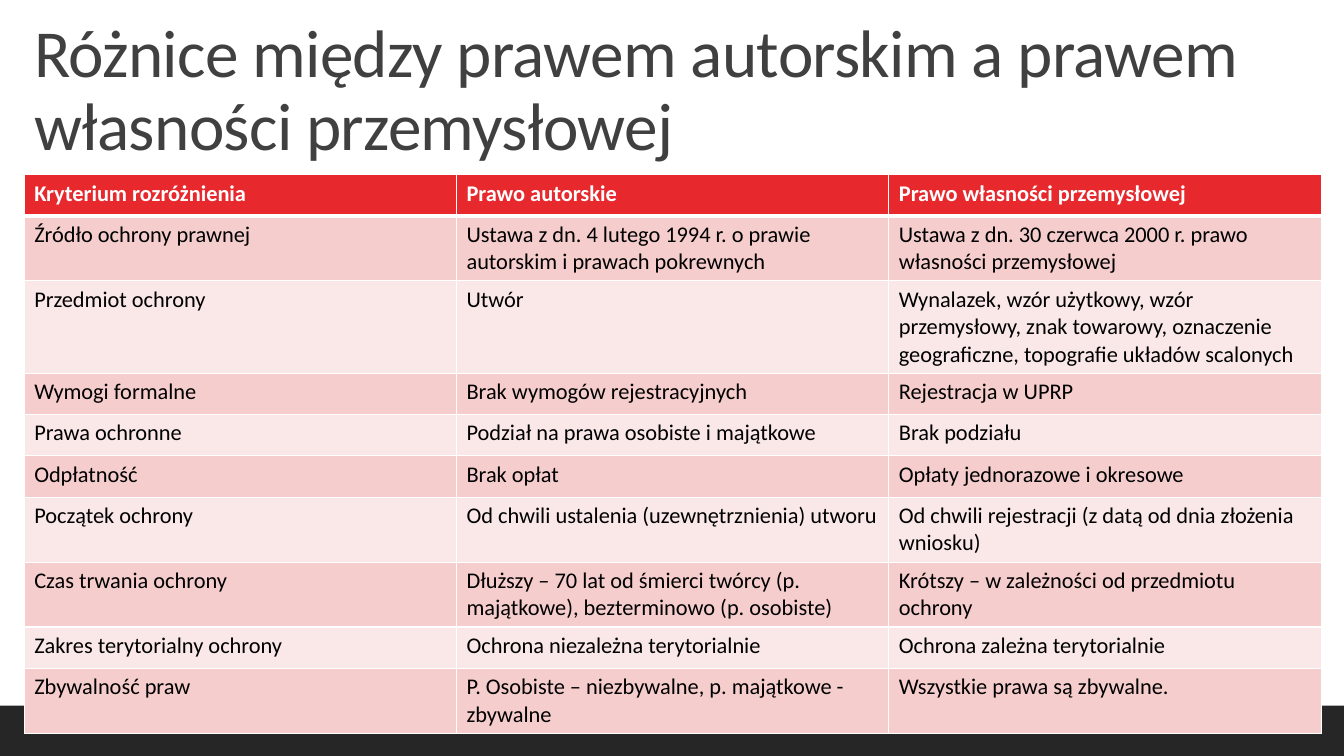
"""Build a slide comparing copyright law with industrial property law."""
from dataclasses import dataclass

from lxml.etree import SubElement
from pptx import Presentation
from pptx.dml.color import RGBColor
from pptx.enum.shapes import MSO_SHAPE
from pptx.enum.text import MSO_ANCHOR, MSO_AUTO_SIZE, PP_ALIGN
from pptx.oxml.ns import qn
from pptx.slide import Slide
from pptx.table import _Cell
from pptx.util import Inches, Length, Pt

WIDE, HIGH = Inches(13.33), Inches(7.5)
FONT = "Calibri"
HUES = {
    "title": "404040",
    "bar": "262626",
    "head": "E7292E",
    "odd": "F6CDCD",
    "even": "FAE8E8",
    "light": "FFFFFF",
    "dark": "000000",
}


@dataclass
class Box:
    """Place on the slide, in shares of its width and height."""
    left: float
    top: float
    width: float
    height: float

    def spot(self) -> tuple[Length, Length, Length, Length]:
        """Give the place as lengths."""
        return (Length(int(self.left * WIDE)), Length(int(self.top * HIGH)),
                Length(int(self.width * WIDE)), Length(int(self.height * HIGH)))


@dataclass
class Row:
    """One line of the comparison."""
    topic: str
    author: str
    trade: str


BAR = Box(0, 14 / 15, 1, 1 / 15)
TITLE = Box(0.018, 0.013, 0.954, 0.212)
GRID = Box(0.018, 0.231, 0.965, 0.547)
ROWS = [
    Row("Kryterium rozróżnienia", "Prawo autorskie", "Prawo własności przemysłowej"),
    Row("Źródło ochrony prawnej",
        "Ustawa z dn. 4 lutego 1994 r. o prawie autorskim i prawach pokrewnych",
        "Ustawa z dn. 30 czerwca 2000 r. prawo własności przemysłowej"),
    Row("Przedmiot ochrony", "Utwór",
        "Wynalazek, wzór użytkowy, wzór przemysłowy, znak towarowy, "
        "oznaczenie geograficzne, topografie układów scalonych"),
    Row("Wymogi formalne", "Brak wymogów rejestracyjnych", "Rejestracja w UPRP"),
    Row("Prawa ochronne", "Podział na prawa osobiste i majątkowe", "Brak podziału"),
    Row("Odpłatność", "Brak opłat", "Opłaty jednorazowe i okresowe"),
    Row("Początek ochrony", "Od chwili ustalenia (uzewnętrznienia) utworu",
        "Od chwili rejestracji (z datą od dnia złożenia wniosku)"),
    Row("Czas trwania ochrony",
        "Dłuższy – 70 lat od śmierci twórcy (p. majątkowe), bezterminowo (p. osobiste)",
        "Krótszy – w zależności od przedmiotu ochrony"),
    Row("Zakres terytorialny ochrony", "Ochrona niezależna terytorialnie",
        "Ochrona zależna terytorialnie"),
    Row("Zbywalność praw", "P. Osobiste – niezbywalne, p. majątkowe - zbywalne",
        "Wszystkie prawa są zbywalne."),
]


def hue(name: str) -> RGBColor:
    """Look up a colour."""
    return RGBColor.from_string(HUES[name])


def add_bar(slide: Slide) -> None:
    """Draw the dark band at the foot."""
    bar = slide.shapes.add_shape(MSO_SHAPE.RECTANGLE, *BAR.spot())
    bar.shadow.inherit = False
    bar.fill.solid()
    bar.fill.fore_color.rgb = hue("bar")
    bar.line.fill.background()


def set_title(slide: Slide, text: str) -> None:
    """Place and format the title."""
    title = slide.shapes.title
    title.left, title.top, title.width, title.height = TITLE.spot()
    frame = title.text_frame
    frame.text = text
    frame.word_wrap = True
    frame.auto_size = MSO_AUTO_SIZE.NONE
    frame.vertical_anchor = MSO_ANCHOR.BOTTOM
    para = frame.paragraphs[0]
    para.alignment = PP_ALIGN.LEFT
    para.line_spacing = 0.9
    font = para.runs[0].font
    font.name, font.size = FONT, Pt(48)
    font.color.rgb = hue("title")
    para.runs[0]._r.get_or_add_rPr().set("spc", "-50")


def set_edge(cell: _Cell, side: str, width: int) -> None:
    """Add a white border to one side of a cell."""
    edge = SubElement(cell._tc.get_or_add_tcPr(), qn(f"a:ln{side}"), w=str(Pt(width)))
    fill = SubElement(edge, qn("a:solidFill"))
    SubElement(fill, qn("a:srgbClr"), val=HUES["light"])


def fill_cell(cell: _Cell, text: str, row: int) -> None:
    """Write and format a table cell."""
    head = row == 0
    thick = {0: "B", 1: "T"}.get(row)
    for side in "LRTB":
        set_edge(cell, side, 3 if side == thick else 1)
    cell.fill.solid()
    cell.fill.fore_color.rgb = hue("head" if head else "odd" if row % 2 else "even")
    cell.text_frame.text = text
    font = cell.text_frame.paragraphs[0].runs[0].font
    font.name, font.size, font.bold = FONT, Pt(16), head
    font.color.rgb = hue("light" if head else "dark")


def add_grid(slide: Slide) -> None:
    """Draw the comparison table."""
    table = slide.shapes.add_table(len(ROWS), 3, *GRID.spot()).table
    for num, row in enumerate(ROWS):
        for col, text in enumerate((row.topic, row.author, row.trade)):
            fill_cell(table.cell(num, col), text, num)


def main() -> None:
    """Build and save the deck."""
    deck = Presentation()
    deck.slide_width, deck.slide_height = WIDE, HIGH
    slide = deck.slides.add_slide(deck.slide_layouts[5])
    add_bar(slide)
    set_title(slide, "Różnice między prawem autorskim a prawem własności przemysłowej")
    add_grid(slide)
    deck.save("out.pptx")


if __name__ == "__main__":
    main()
